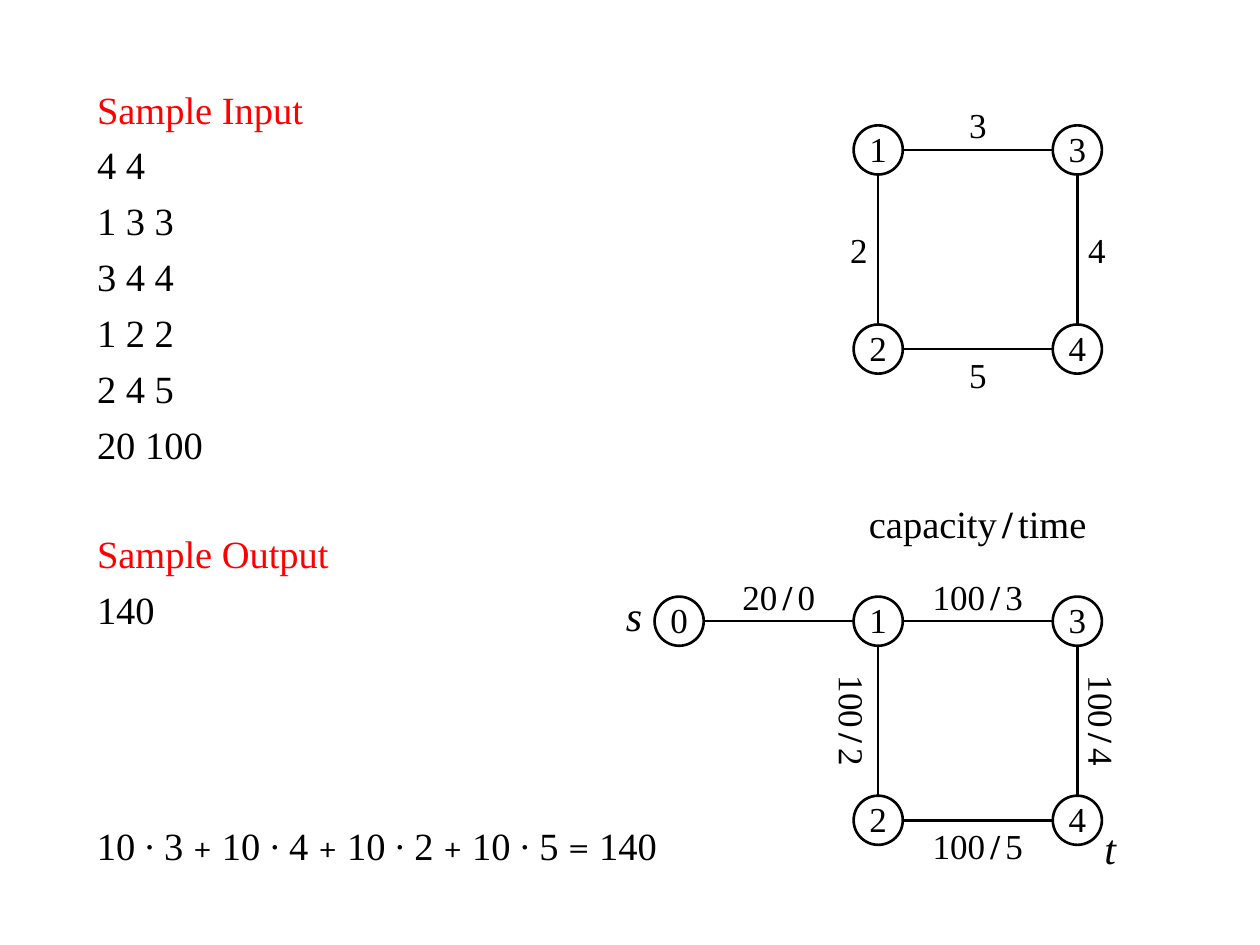
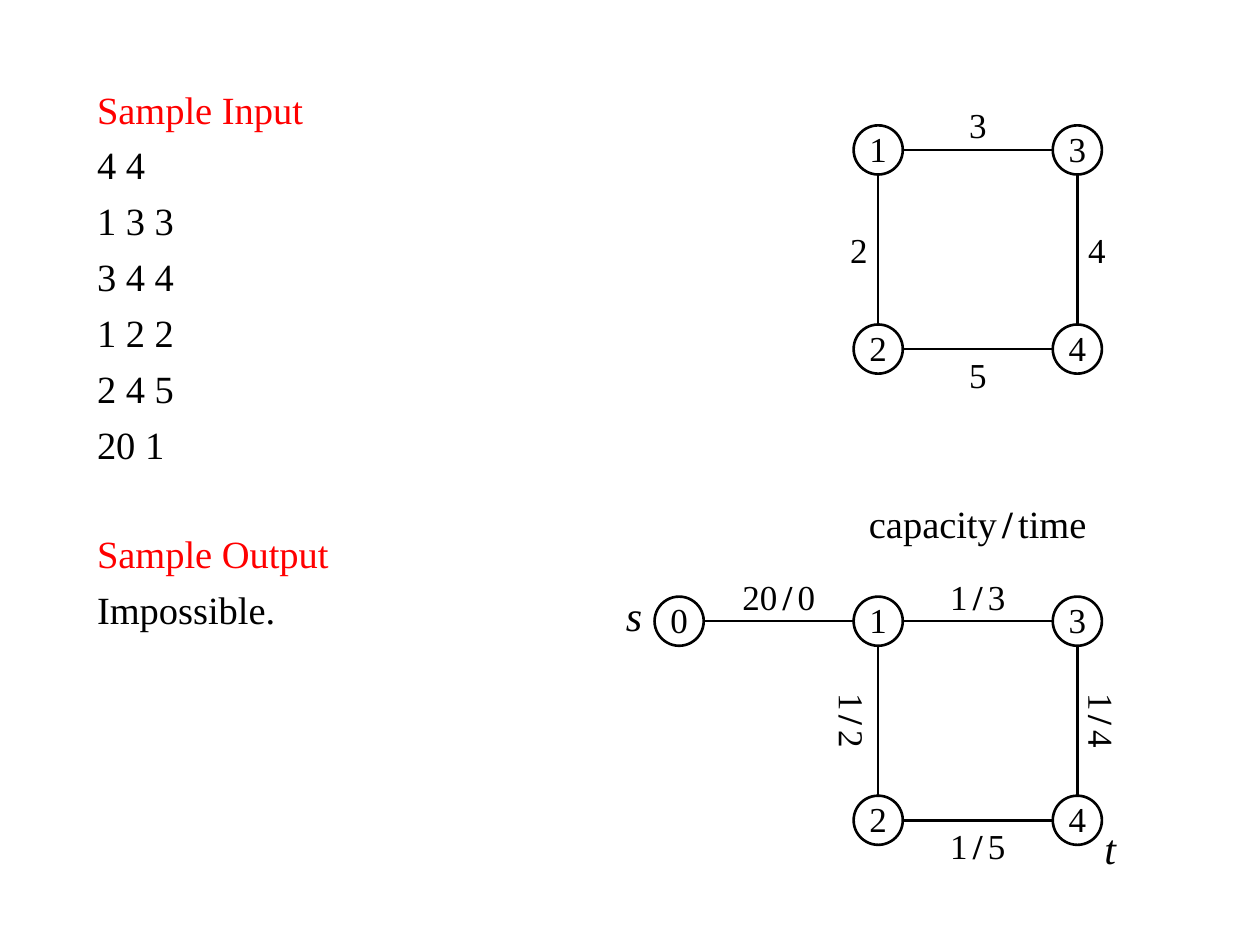
from lxml import etree
from pptx import Presentation
from pptx.dml.color import RGBColor
from pptx.enum import shapes, text
from pptx.oxml import ns
from pptx.util import Inches, Pt

BLACK, WHITE, RED = "000000", "FFFFFF", "FF0000"
SERIF, MATH = "Times New Roman", "Cambria"
NODE = 0.39     # node diameter
STEP = 1.58     # distance between node centres
OFFSET = 0.2    # distance from an edge to its label
CENTER, LEFT, RIGHT = text.PP_ALIGN.CENTER, text.PP_ALIGN.LEFT, text.PP_ALIGN.RIGHT


def rgb(color):
    return RGBColor.from_string(color)


def add_run(p, words, size=20, color=BLACK, font=SERIF, bold=False, italic=False, spacing=0):
    r = p.add_run()
    r.text = words
    r.font.name, r.font.size = font, Pt(size)
    r.font.bold, r.font.italic = bold, italic
    r.font.color.rgb = rgb(color)
    if spacing:
        r.font._element.set("spc", str(spacing * 100))


def set_frame(tf, insets, wrap=False, anchor=text.MSO_ANCHOR.MIDDLE):
    tf.auto_size = text.MSO_AUTO_SIZE.NONE
    tf.word_wrap, tf.vertical_anchor = wrap, anchor
    tf.margin_left, tf.margin_top, tf.margin_right, tf.margin_bottom = map(Inches, insets)


def add_label(s, cx, cy, width=NODE, align=CENTER, insets=(0, 0, 0, 0), wrap=False):
    """Add a text box centred on a point and return it with its paragraph."""
    sp = s.shapes.add_textbox(Inches(cx - width / 2), Inches(cy - NODE / 2),
                              Inches(width), Inches(NODE))
    set_frame(sp.text_frame, insets, wrap)
    p = sp.text_frame.paragraphs[0]
    p.alignment = align
    return sp, p


def add_ratio(p, capacity, time, size=20):
    """Write capacity/time with loosened spacing around the slash."""
    if capacity[:-1]:
        add_run(p, capacity[:-1], size)
    add_run(p, capacity[-1], size, spacing=3)
    add_run(p, "/", size, bold=True, spacing=3)
    add_run(p, time, size)


def add_node(s, cx, cy, name):
    sp = s.shapes.add_shape(shapes.MSO_SHAPE.OVAL, Inches(cx - NODE / 2),
                            Inches(cy - NODE / 2), Inches(NODE), Inches(NODE))
    sp.shadow.inherit = False
    sp.fill.solid()
    sp.fill.fore_color.rgb = rgb(WHITE)
    sp.line.color.rgb = rgb(BLACK)
    sp.line.width = Pt(1.5)
    set_frame(sp.text_frame, (0, 0, 0, 0.02), wrap=True)
    p = sp.text_frame.paragraphs[0]
    p.alignment = CENTER
    add_run(p, name)


def add_edge(s, cx, cy, vertical=False):
    """Join the node at a point to the next one, rightwards or downwards."""
    dx, dy = (0, 1) if vertical else (1, 0)
    near, far = NODE / 2, STEP - NODE / 2
    line = s.shapes.add_connector(
        shapes.MSO_CONNECTOR.STRAIGHT, Inches(cx + dx * near), Inches(cy + dy * near),
        Inches(cx + dx * far), Inches(cy + dy * far))
    line.line.color.rgb = rgb(BLACK)
    line.line.width = Pt(1.5)
    etree.SubElement(line._element.spPr, ns.qn("a:effectLst"))


def draw_square(s, x, y, capacity=None):
    """Draw the four-node graph with node 1 centred at x, y."""
    for i, name in enumerate("1324"):
        add_node(s, x + i % 2 * STEP, y + i // 2 * STEP, name)
    # Edge: start column and row, vertical, label side, alignment, insets, time
    edges = [(0, 0, False, -1, CENTER, (0, 0, 0, 0), "3"),
             (0, 0, True, -1, RIGHT, (0.1, 0, 0.08, 0), "2"),
             (1, 0, True, 1, LEFT, (0.08, 0, 0.1, 0), "4"),
             (0, 1, False, 1, CENTER, (0, 0, 0, 0), "5")]
    for col, row, vertical, side, align, insets, time in edges:
        ex, ey = x + col * STEP, y + row * STEP
        add_edge(s, ex, ey, vertical)
        if vertical:
            lx, ly = ex + side * OFFSET, ey + STEP / 2
        else:
            lx, ly = ex + STEP / 2, ey + side * OFFSET
        if capacity:
            sp, p = add_label(s, lx, ly, 2 * NODE)
            sp.rotation = 90 if vertical else 0
            add_ratio(p, capacity, time)
        else:
            add_run(add_label(s, lx, ly, align=align, insets=insets)[1], time)


def draw_flow(s, x, y, capacity):
    """Draw the flow network with source node 0 centred at x, y."""
    p = add_label(s, x + 1.5 * STEP, y - 0.78, 1.97)[1]
    add_ratio(p, "capacity", "time", 22)
    add_node(s, x, y, "0")
    add_edge(s, x, y)
    add_ratio(add_label(s, x + STEP / 2, y - OFFSET, 2 * NODE)[1], "20", "0")
    draw_square(s, x + STEP, y, capacity)
    # Source and sink names
    p = add_label(s, x - NODE, y, align=RIGHT, insets=(0.1, 0, 0.1, 0.1))[1]
    add_run(p, "s", 24, italic=True)
    p = add_label(s, x + 2 * STEP + OFFSET, y + STEP + OFFSET, insets=(0.12, 0.04, 0, 0))[1]
    add_run(p, "t", 24, italic=True)


def write_sample(s, left, top, limits, answer):
    """Write sample input and output in the body placeholder."""
    sp = s.placeholders[1]
    sp.left, sp.top, sp.width, sp.height = map(Inches, (left, top, 2.17, 4.92))
    tf = sp.text_frame
    set_frame(tf, (0.1, 0.08, 0.1, 0), wrap=True, anchor=text.MSO_ANCHOR.TOP)
    lines = ["Sample Input", "4 4", "1 3 3", "3 4 4", "1 2 2", "2 4 5", limits,
             "Sample Output", answer]
    for i, words in enumerate(lines):
        p = tf.paragraphs[0] if i == 0 else tf.add_paragraph()
        pPr = p._p.get_or_add_pPr()
        pPr.set("marL", str(Inches(0.38)))
        pPr.set("indent", str(Inches(-0.38)))
        etree.SubElement(pPr, ns.qn("a:buNone"))
        p.space_before = Pt(0 if i == 0 else 36.3 if words == "Sample Output" else 5.5)
        add_run(p, words, 22, RED if words.startswith("Sample") else BLACK)


def write_check(s, left, top):
    """Write the sum that confirms the sample answer."""
    width = 4.92
    p = add_label(s, left + width / 2, top + NODE / 2, width, LEFT, (0.1, 0, 0.1, 0), True)[1]
    for edge, sign, size in [("3", "+", 20), ("4", "+", 20), ("2", "+", 20), ("5", "=", 22)]:
        add_run(p, f"10 ∙ {edge} " if edge == "3" else f" 10 ∙ {edge} ", 22)
        add_run(p, sign, size, font=MATH)
    add_run(p, " 140", 22)


def build_slide(prs, limits, capacity, answer):
    s = prs.slides.add_slide(prs.slide_layouts[1])
    title = s.shapes.title._element
    title.getparent().remove(title)
    write_sample(s, 0.67, 0.6, limits, answer)
    draw_square(s, 6.97, 1.19)
    draw_flow(s, 5.39, 4.93, capacity)
    return s


def main():
    prs = Presentation()
    prs.slide_width, prs.slide_height = Inches(10), Inches(7.5)
    s = build_slide(prs, "20 100", "100", "140")
    write_check(s, 0.67, 6.51)
    build_slide(prs, "20 1", "1", "Impossible.")
    prs.save("out.pptx")


if __name__ == "__main__":
    main()
